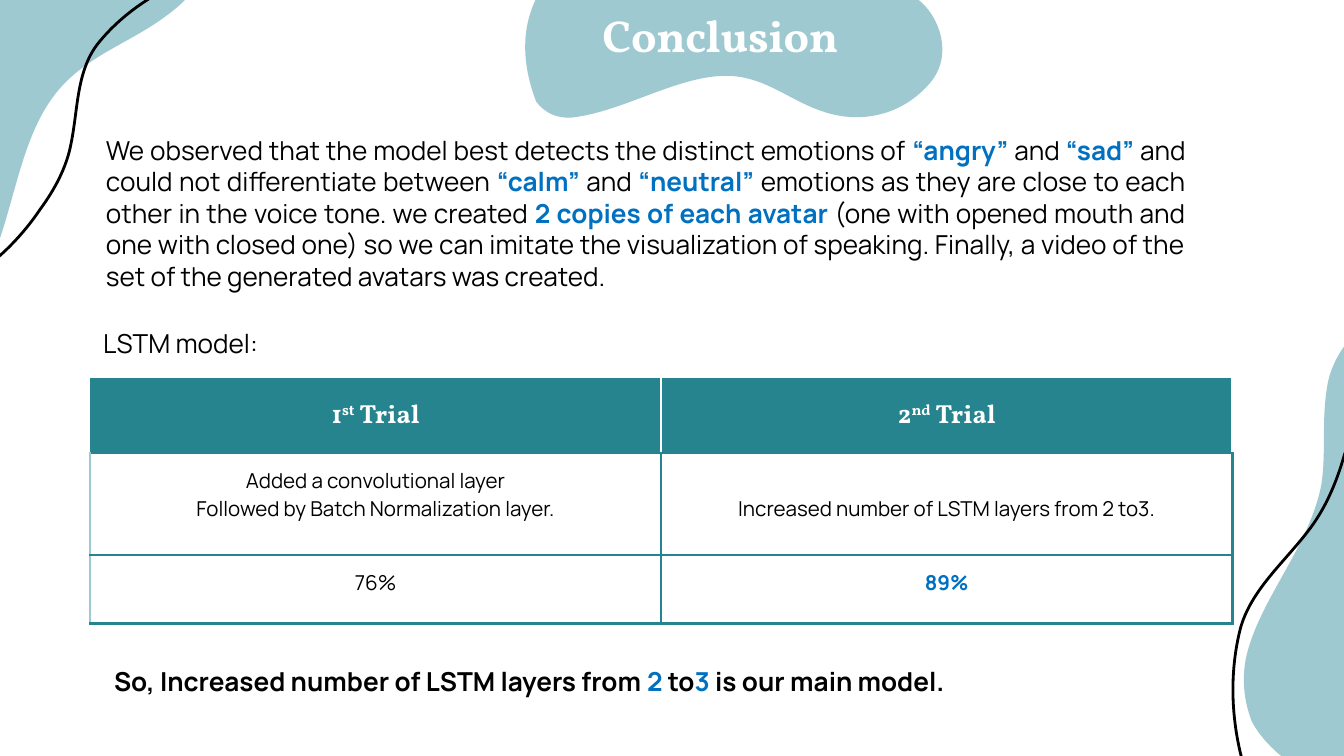
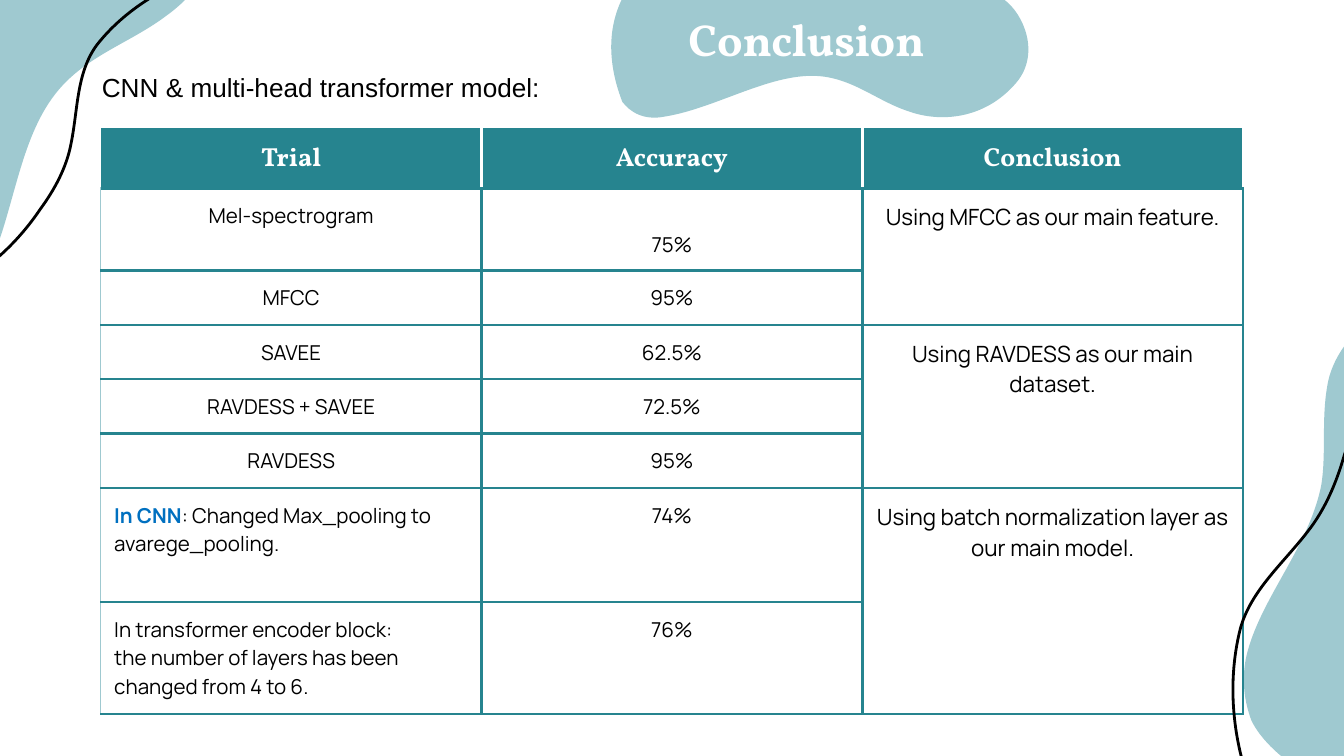
from lxml import etree
from pptx import Presentation
from pptx import util as u
from pptx.dml.color import RGBColor
from pptx.enum import text as t
from pptx.oxml.ns import qn

color = RGBColor.from_string
TEAL, MIST, ACCENT, BLACK, WHITE = "26848F", "9FC9D0", "0070C0", "000000", "FFFFFF"
HEADING, BODY = "Vollkorn", "Manrope"
LEFT, CENTER, JUSTIFY = t.PP_ALIGN.LEFT, t.PP_ALIGN.CENTER, t.PP_ALIGN.JUSTIFY
NO_STYLE = "{2D5ABB26-0587-4C30-8999-92F81FD0307C}"

presentation = Presentation()
presentation.slide_width, presentation.slide_height = u.Inches(10), u.Emu(5143500)
# Grid of 1000 square cells across the slide
cell_size = presentation.slide_width / 1000

# Two outlines serve every decoration: a start, then one curve a row (control, control, end)
BLOB = (111, 0), [
    [(94, 0), (79, 5), (66, 13)],
    [(45, 29), (32, 64), (24, 93)],
    [(12, 130), (0, 169), (4, 208)],
    [(8, 248), (39, 274), (68, 290)],
    [(80, 293), (97, 293), (113, 278)],
    [(149, 247), (173, 195), (213, 172)],
    [(244, 154), (279, 158), (312, 149)],
    [(345, 141), (381, 116), (385, 73)],
    [(388, 40), (350, 20), (324, 20)],
    [(297, 20), (273, 29), (248, 30)],
    [(200, 30), (155, 1), (111, 0)]]
WAVE = (355, 138), [
    [(337, 138), (322, 120), (307, 107)],
    [(284, 89), (257, 78), (231, 73)],
    [(214, 69), (195, 67), (177, 71)],
    [(152, 76), (127, 88), (102, 82)],
    [(65, 72), (27, 44), (0, 0)]]

# Each decoration is an outline set in a box (left, top, width, height) and turned
corner_blob = dict(outline=BLOB, box=(-180, -93, 388, 293), rotation=337.9, fill=MIST)
corner_wave = dict(outline=WAVE, box=(-123, 39, 355, 138), rotation=113)
side_blob = dict(outline=BLOB, box=(893, 290, 388, 293), rotation=281.2, fill=MIST)
side_wave = dict(outline=WAVE, box=(770, 327, 410, 138), rotation=117.6, mirrored=True)


def write(frame, content, size=14, font=BODY, ink=BLACK, bold=False, align=LEFT):
    """Fill a text frame; *stars* set the accent and ^carets^ a superscript."""
    frame.word_wrap = True
    for number, line in enumerate(content.split("\n")):
        paragraph = frame.add_paragraph() if number else frame.paragraphs[0]
        paragraph.alignment = align
        for i, part in enumerate(line.split("*")):
            accented = i % 2 == 1
            for j, piece in enumerate(part.split("^")):
                if not piece:
                    continue
                run = paragraph.add_run()
                run.text = piece
                run.font.size, run.font.name = u.Pt(size), font
                run.font.bold = bold or accented
                run.font.color.rgb = color(ACCENT if accented else ink)
                if j % 2:
                    run.font._element.set("baseline", "30000")
    return frame


def decorate(slide, outline, box, rotation, fill=None, mirrored=False):
    """Draw a filled blob, or a black wave where no fill is given."""
    start, curves = outline
    builder = slide.shapes.build_freeform(*start, scale=cell_size)
    builder.add_line_segments([point for curve in curves for point in curve], close=bool(fill))
    shape = builder.convert_to_shape()
    # Turn every three straight steps into one curve
    drawn = next(shape.element.iter(qn("a:path")))
    steps = drawn.findall(qn("a:lnTo"))
    for first in range(0, 3 * len(curves), 3):
        curve = etree.Element(qn("a:cubicBezTo"))
        steps[first].addprevious(curve)
        for step in steps[first:first + 3]:
            curve.append(step[0])
            drawn.remove(step)
    shape.left, shape.top, shape.width, shape.height = [round(n * cell_size) for n in box]
    shape.rotation = rotation
    if mirrored:
        shape.element.spPr.xfrm.set("flipH", "1")
    shape.shadow.inherit = False
    if fill:
        shape.fill.solid()
        shape.fill.fore_color.rgb = color(fill)
        shape.line.fill.background()
    else:
        shape.fill.background()
        shape.line.color.rgb = color(BLACK)
        shape.line.width = u.Pt(1.5)


# Content of the two slides; None continues the cell above
observation = (
    "We observed that the model best detects the distinct emotions of *“angry” *and *“sad” *and "
    "could not differentiate between *“calm” *and *“neutral” *emotions as they are close to each "
    "other in the voice tone. we created *2 copies of each avatar *(one with opened mouth and one "
    "with closed one) so we can imitate the visualization of speaking. Finally, a video of the set "
    "of the generated avatars was created.")
summary = "So, Increased number of LSTM layers from *2* to*3* is our main model."
lstm_rows = [
    ["1^st^ Trial", "2^nd^ Trial"],
    ["Added a convolutional layer\nFollowed by Batch Normalization layer.",
     "Increased number of LSTM layers from 2 to3."],
    ["76%", "*89%*"]]
transformer_rows = [
    ["Trial", "Accuracy", "Conclusion"],
    ["Mel-spectrogram", "75%", "Using MFCC as our main feature."],
    ["MFCC", "95%", None],
    ["SAVEE", "62.5%", "Using RAVDESS as our main dataset."],
    ["RAVDESS + SAVEE", "72.5%", None],
    ["RAVDESS", "95%", None],
    ["*In CNN*: Changed Max_pooling to avarege_pooling.", "74%",
     "Using batch normalization layer as our main model."],
    ["In transformer encoder block:\nthe number of layers has been changed from 4 to 6.",
     "76%", None]]
pages = [
    dict(rows=lstm_rows, heights=[56, 76, 51], table_at=(67, 281),
         blob_left=404, title_at=(411, -44), observation=observation,
         labels=[((75, 490, 775, 34), summary, dict(bold=True)),
                 ((67, 239, 150, 34), "LSTM model:", {})]),
    dict(rows=transformer_rows, heights=[45, 61] + [40.5] * 4 + [85, 83], table_at=(75, 95),
         blob_left=468, title_at=(475, -41), observation=None,
         labels=[((66, 48, 396, 34), "CNN & multi-head transformer model:", dict(font="Arial"))])]

for page in pages:
    slide = presentation.slides.add_slide(presentation.slide_layouts[5])

    # Opening paragraph
    if page["observation"]:
        box = slide.shapes.add_textbox(*[round(n * cell_size) for n in (54, 90, 838, 58)])
        frame = write(box.text_frame, page["observation"], align=JUSTIFY)
        frame.margin_top = frame.margin_bottom = u.Inches(0.1)
        frame.paragraphs[0]._p.get_or_add_pPr().set("marL", str(u.Inches(0.15)))

    # Decorations behind the table
    for decoration in (corner_blob, corner_wave, side_blob):
        decorate(slide, **decoration)

    # Table
    rows, heights = page["rows"], page["heights"]
    place = (*page["table_at"], 850, sum(heights))
    table = slide.shapes.add_table(len(rows), len(rows[0]),
                                   *[round(n * cell_size) for n in place]).table
    table.horz_banding = False
    table._tbl.tblPr.find(qn("a:tableStyleId")).text = NO_STYLE
    for row, height in zip(table.rows, heights):
        row.height = round(height * cell_size)
    for r, row in enumerate(rows):
        for c, content in enumerate(row):
            cell = table.cell(r, c)
            cell.margin_left = cell.margin_right = cell.margin_top = u.Inches(0.1)
            cell.margin_bottom = u.Inches(0.08)
            cell.fill.solid()
            cell.fill.fore_color.rgb = color(WHITE if r else TEAL)

            # A cell spans the continued cells below it
            span = 1
            while r + span < len(rows) and rows[r + span][c] is None:
                span += 1
            if content and span > 1:
                cell.merge(table.cell(r + span - 1, c))

            # Text and border colours
            if r == 0:
                cell.vertical_anchor = t.MSO_ANCHOR.MIDDLE
                write(cell.text_frame, content, font=HEADING, ink=WHITE, bold=True, align=CENTER)
                edges = {"R": WHITE, "B": TEAL}
                if c:
                    edges = {"L": WHITE, **edges}
            else:
                if content:
                    write(cell.text_frame, content, size=12 if span > 1 else 11,
                          align=LEFT if r > 5 and c == 0 else CENTER)
                if (r, c) == (1, 1):
                    cell.margin_top = u.Inches(0.31)  # one line lower
                edges = {"L": TEAL if c else MIST, "R": TEAL, "T": TEAL, "B": TEAL}
            properties = cell._tc.get_or_add_tcPr()
            for position, (side, ink) in enumerate(edges.items()):
                width = u.Pt(0.75 if ink == MIST else 1.5)
                border = etree.Element(qn("a:ln" + side), w=str(width))
                fill = etree.SubElement(border, qn("a:solidFill"))
                etree.SubElement(fill, qn("a:srgbClr"), val=ink)
                properties.insert(position, border)

    decorate(slide, **side_wave)

    # Labels around the table
    for place, content, style in page["labels"]:
        box = slide.shapes.add_textbox(*[round(n * cell_size) for n in place])
        write(box.text_frame, content, **style)
        box.text_frame.auto_size = t.MSO_AUTO_SIZE.SHAPE_TO_FIT_TEXT

    # Title on its blob, in front of the rest
    decorate(slide, BLOB, (page["blob_left"], -93, 280, 248), rotation=36, fill=MIST)
    title = slide.shapes.title
    place = (*page["title_at"], 250, 139)
    title.left, title.top, title.width, title.height = [round(n * cell_size) for n in place]
    frame = write(title.text_frame, "Conclusion", size=24, font=HEADING, ink=WHITE,
                  bold=True, align=CENTER)
    frame.auto_size = t.MSO_AUTO_SIZE.NONE
    frame.vertical_anchor = t.MSO_ANCHOR.MIDDLE
    frame.margin_top = frame.margin_bottom = u.Inches(0.1)
    slide.shapes._spTree.append(title.element)

presentation.save("out.pptx")
